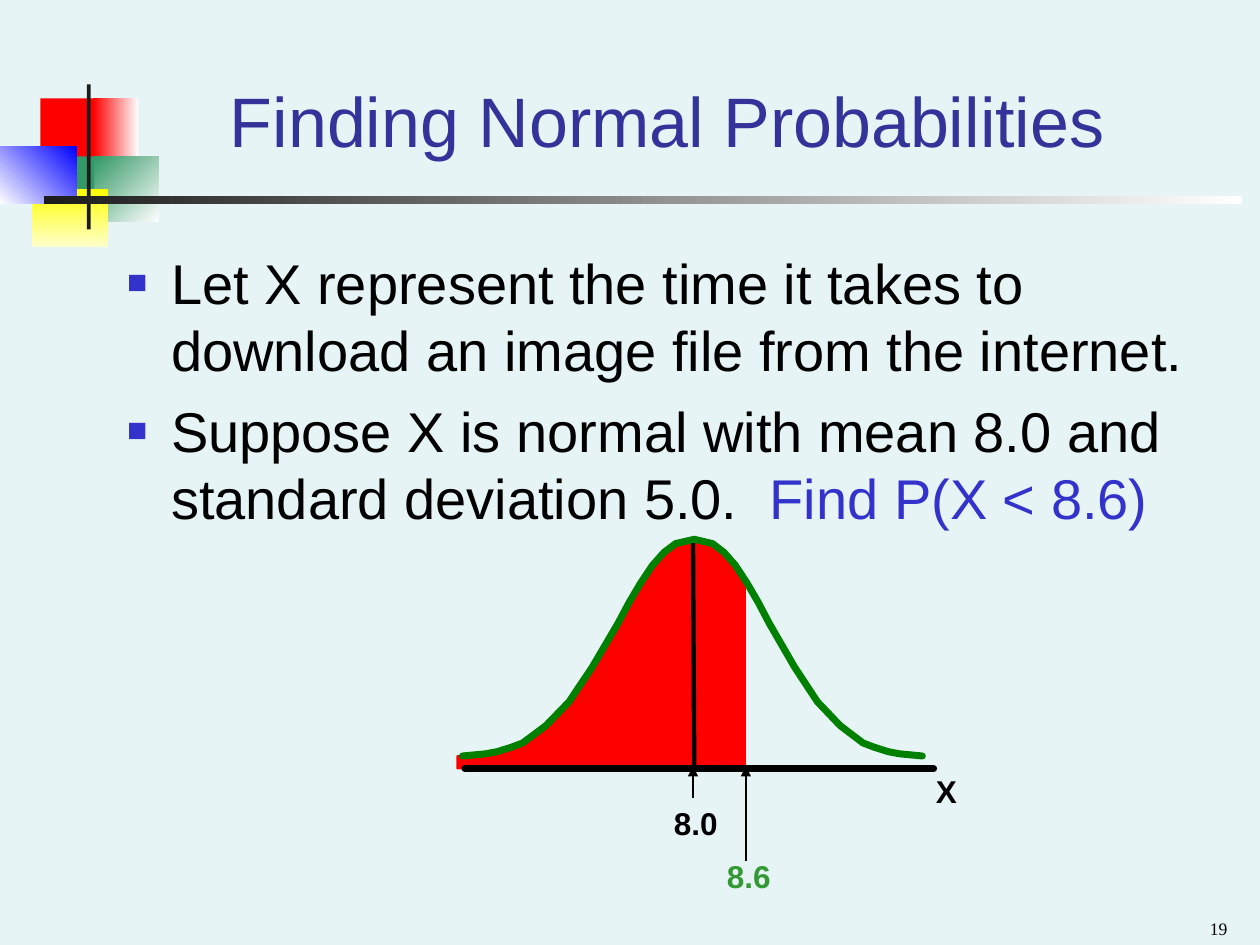
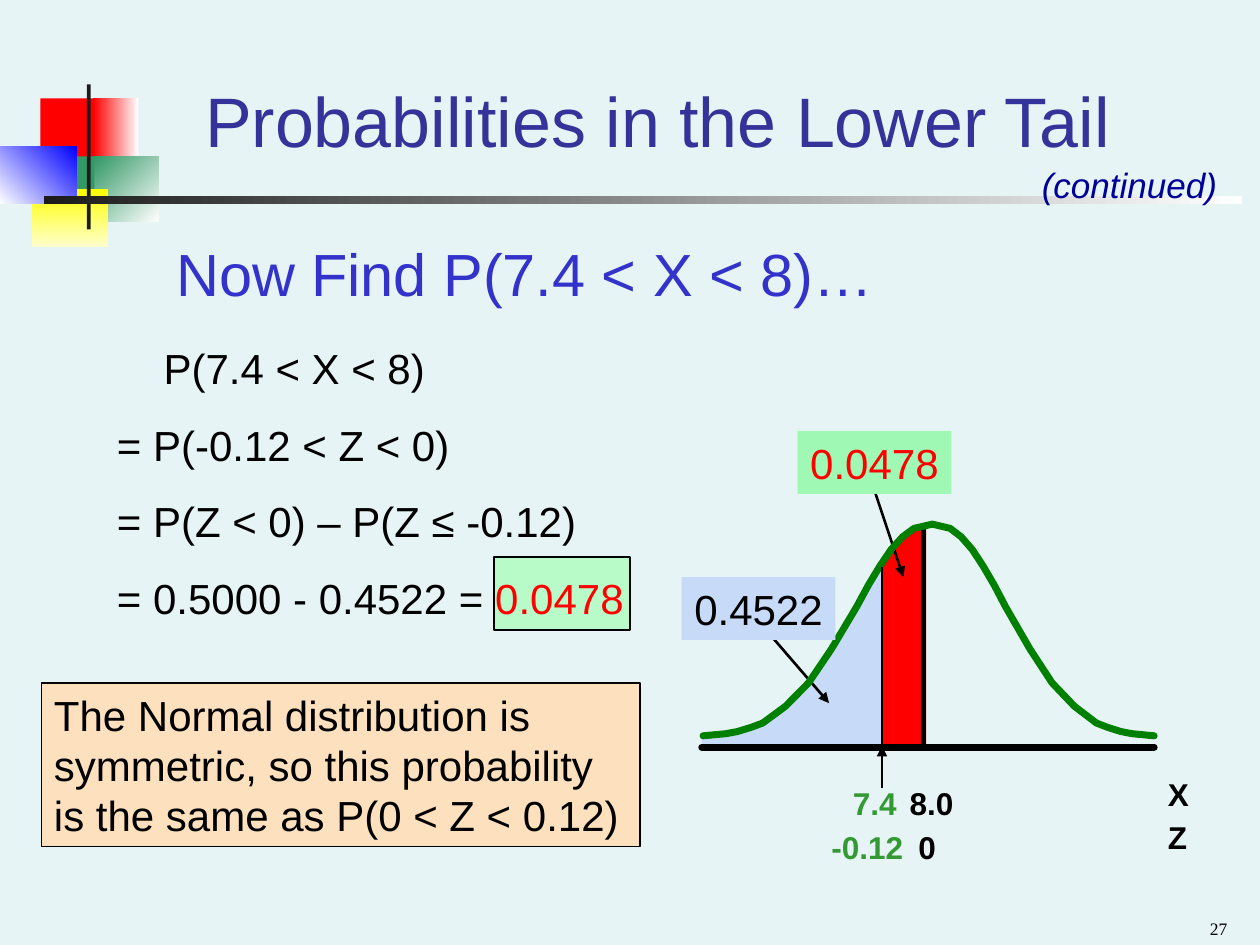
import dataclasses
import typing

import lxml.etree
import pptx
import pptx.dml.color
import pptx.enum.shapes
import pptx.enum.text
import pptx.oxml.ns
import pptx.slide
import pptx.text.text
import pptx.util

Inches = pptx.util.Inches
Align = pptx.enum.text.PP_ALIGN
Anchor = pptx.enum.text.MSO_ANCHOR
Point = tuple[float, float]


@dataclasses.dataclass(frozen=True)
class Theme:
    background: str = "E7F4F5"
    title: str = "333399"
    accent: str = "3333CC"
    continued: str = "000099"
    ink: str = "000000"
    bar: str = "1C1C1C"
    white: str = "FFFFFF"
    red: str = "FF0000"
    blue: str = "0000FF"
    green: str = "339966"
    yellow: str = "FFFF00"
    cream: str = "FFFFCC"
    curve: str = "008000"
    marker: str = "339933"
    tail: str = "C7DAF7"
    answer: str = "B8FAC8"
    callout: str = "A0F8B5"
    note: str = "FDE0BD"
    font: str = "Arial"
    number_font: str = "Times New Roman"
    title_size: int = 40
    question_size: int = 34
    body_size: int = 32
    text_size: int = 24
    continued_size: int = 20
    label_size: int = 18
    number_size: int = 10


THEME = Theme()


class Frame(typing.NamedTuple):
    left: float
    top: float
    width: float
    height: float

    def lengths(self) -> list[int]:
        return [Inches(value) for value in self]


class Span(typing.NamedTuple):
    text: str
    color: str


class Block(typing.NamedTuple):
    """A decorative rectangle; a second colour makes it a gradient."""
    frame: Frame
    start: str
    end: str | None = None
    angle: int = 0


class Label(typing.NamedTuple):
    text: str
    left: float
    top: float
    width: float
    color: str = THEME.ink


# Half of the bell: distance from the tail and height, as shares of the whole
HALF_BELL = [(0, 0), (0.1, 0.01), (0.15, 0.02), (0.21, 0.04), (0.26, 0.06),
             (0.31, 0.1), (0.36, 0.14), (0.46, 0.25), (0.56, 0.41),
             (0.67, 0.61), (0.72, 0.71), (0.77, 0.8), (0.82, 0.88),
             (0.87, 0.94), (0.92, 0.98), (1, 1)]


@dataclasses.dataclass(frozen=True)
class Bell:
    left: float
    middle: float
    right: float
    top: float
    base: float
    floor: float

    def points(self) -> list[Point]:
        def side(end: float) -> list[Point]:
            return [(end + (self.middle - end) * across,
                     self.base - (self.base - self.top) * up)
                    for across, up in HALF_BELL]
        return side(self.left) + side(self.right)[-2::-1]

    def height_at(self, x: float) -> float:
        points = self.points()
        for (x1, y1), (x2, y2) in zip(points, points[1:]):
            if x1 <= x <= x2:
                return y1 + (y2 - y1) * (x - x1) / (x2 - x1)
        return self.base

    def area(self, start: float, end: float) -> list[Point]:
        inside = [point for point in self.points() if start < point[0] < end]
        return [(start, self.floor), (start, self.height_at(start)), *inside,
                (end, self.height_at(end)), (end, self.floor)]


BLOCKS = [
    Block(Frame(0.32, 0.78, 0.48, 0.52), THEME.red),
    Block(Frame(0.74, 0.78, 0.36, 0.52), THEME.white, THEME.red, 180),
    Block(Frame(0.75, 1.24, 0.51, 0.52), THEME.white, THEME.green, 225),
    Block(Frame(0.43, 1.24, 0.32, 0.52), THEME.green),
    Block(Frame(0.25, 1.5, 0.61, 0.46), THEME.yellow, THEME.cream, 90),
    Block(Frame(0, 1.16, 0.61, 0.46), THEME.blue, THEME.white, 135),
    Block(Frame(0.69, 0.67, 0.03, 1.15), THEME.bar),
    Block(Frame(0.35, 1.56, 9.51, 0.06), THEME.white, THEME.bar, 180),
]


def rgb(color: str) -> pptx.dml.color.RGBColor:
    return pptx.dml.color.RGBColor.from_string(color)


def add_xml(parent, tag: str, **attributes: str):
    return lxml.etree.SubElement(parent, pptx.oxml.ns.qn(tag), attributes)


def paint(shape, fill: str | None = None, line: str | None = None,
          width: float = 1) -> None:
    if fill:
        shape.fill.solid()
        shape.fill.fore_color.rgb = rgb(fill)
    else:
        shape.fill.background()
    if line:
        shape.line.color.rgb = rgb(line)
        shape.line.width = pptx.util.Pt(width)
    else:
        shape.line.fill.background()


def round_ends(shape) -> None:
    line = shape.element.spPr.find(pptx.oxml.ns.qn("a:ln"))
    line.set("cap", "rnd")
    add_xml(line, "a:round")


# Text
def fill_text(frame: pptx.text.text.TextFrame,
              paragraphs: list[str | list[Span]], *, size: int,
              color: str = THEME.ink, font: str = THEME.font,
              bold: bool = False, italic: bool = False, bullet: bool = False,
              align: Align = Align.LEFT, anchor: Anchor = Anchor.TOP,
              gap: float = 0, indents: tuple[float, ...] = (),
              wrap: bool = True) -> None:
    frame.word_wrap = wrap
    frame.vertical_anchor = anchor
    frame.auto_size = pptx.enum.text.MSO_AUTO_SIZE.NONE
    for index, content in enumerate(paragraphs):
        para = frame.add_paragraph() if index else frame.paragraphs[0]
        properties = para._p.get_or_add_pPr()
        if bullet:
            properties.set("marL", str(Inches(0.35)))
            properties.set("indent", str(-Inches(0.35)))
            add_xml(add_xml(properties, "a:buClr"), "a:srgbClr", val=THEME.accent)
            add_xml(properties, "a:buSzPct", val="60000")
            add_xml(properties, "a:buFont", typeface=THEME.font)
            add_xml(properties, "a:buChar", char="■")
        elif index < len(indents):
            properties.set("marL", str(Inches(indents[index])))
        para.alignment = align
        para.space_before = pptx.util.Pt(gap if index else 0)
        spans = [Span(content, color)] if isinstance(content, str) else content
        for span in spans:
            run = para.add_run()
            run.text = span.text
            run.font.name = font
            run.font.size = pptx.util.Pt(size)
            run.font.bold = bold
            run.font.italic = italic
            run.font.color.rgb = rgb(span.color)


def add_text(page: pptx.slide.Slide, frame: Frame,
             paragraphs: list[str | list[Span]], *, fill: str | None = None,
             line: str | None = None, **text_format) -> None:
    box = page.shapes.add_textbox(*frame.lengths())
    paint(box, fill, line)
    fill_text(box.text_frame, paragraphs, **text_format)


def add_labels(page: pptx.slide.Slide, labels: list[Label]) -> None:
    for label in labels:
        add_text(page, Frame(label.left, label.top, label.width, 0.4),
                 [label.text], size=THEME.label_size, color=label.color,
                 bold=True, wrap=False)


# Shapes and lines
def add_rectangle(page: pptx.slide.Slide, frame: Frame, **paint_format):
    shape = page.shapes.add_shape(
        pptx.enum.shapes.MSO_SHAPE.RECTANGLE, *frame.lengths())
    shape.shadow.inherit = False
    paint(shape, **paint_format)
    return shape


def add_outline(page: pptx.slide.Slide, points: list[Point],
                close: bool = True, **paint_format):
    places = [(Inches(x), Inches(y)) for x, y in points]
    builder = page.shapes.build_freeform(*places[0])
    builder.add_line_segments(places[1:], close=close)
    shape = builder.convert_to_shape()
    shape.shadow.inherit = False
    paint(shape, **paint_format)
    return shape


def add_line(page: pptx.slide.Slide, start: Point, end: Point,
             width: float = 1, arrow: bool = False):
    connector = page.shapes.add_connector(
        pptx.enum.shapes.MSO_CONNECTOR.STRAIGHT,
        *(Inches(value) for value in (*start, *end)))
    connector.line.color.rgb = rgb(THEME.ink)
    connector.line.width = pptx.util.Pt(width)
    properties = connector.element.spPr
    if arrow:
        add_xml(properties.find(pptx.oxml.ns.qn("a:ln")), "a:tailEnd", type="triangle")
    add_xml(properties, "a:effectLst")
    return connector


def add_bell(page: pptx.slide.Slide, bell: Bell, axis: tuple[float, float]) -> None:
    curve = add_outline(page, bell.points(), close=False,
                        line=THEME.curve, width=4)
    floor = add_line(page, (axis[0], bell.floor), (axis[1], bell.floor), width=4)
    round_ends(curve)
    round_ends(floor)


# Shared parts
def decorate_layout(page: pptx.slide.Slide) -> None:
    """Draw the blocks and hand them to the layout all slides use."""
    for block in BLOCKS:
        shape = add_rectangle(page, block.frame, fill=block.start)
        if block.end:
            shape.fill.gradient()
            shape.fill.gradient_angle = 360 - block.angle
            for stop, color in zip(shape.fill.gradient_stops,
                                   (block.start, block.end)):
                stop.color.rgb = rgb(color)
        page.slide_layout.shapes.element.append(shape.element)


def add_page(deck, title: str, number: int) -> pptx.slide.Slide:
    page = deck.slides.add_slide(deck.slide_layouts[5])
    heading = page.shapes.title
    heading.left, heading.top, heading.width, heading.height = (
        Frame(1.26, 0.25, 8.07, 1.08).lengths())
    fill_text(heading.text_frame, [title], size=THEME.title_size,
              color=THEME.title, align=Align.CENTER, anchor=Anchor.BOTTOM)
    add_text(page, Frame(7.5, 7.15, 2.34, 0.35), [str(number)],
             size=THEME.number_size, font=THEME.number_font,
             align=Align.RIGHT, anchor=Anchor.BOTTOM)
    return page


# Slides
def build_normal(deck) -> None:
    page = add_page(deck, "Finding Normal Probabilities", 19)
    decorate_layout(page)
    bell = Bell(3.67, 5.51, 7.32, 4.28, 6, 6.1)
    add_outline(page, bell.area(5.5, 5.92), fill=THEME.red)
    add_text(page, Frame(0.91, 1.92, 8.85, 4.96), [
        "Let X represent the time it takes to download an image file from the internet.",
        [Span("Suppose X is normal with mean 8.0 and standard deviation 5.0.  ", THEME.ink),
         Span("Find P(X < 8.6)", THEME.accent)],
    ], size=THEME.body_size, bullet=True, gap=8)
    add_outline(page, bell.area(3.63, 5.5), fill=THEME.red, line=THEME.red)
    add_line(page, (5.5, 4.3), (5.51, 6.08), width=2.5)
    add_bell(page, bell, (3.69, 7.41))
    add_labels(page, [Label("X", 7.33, 6.08, 0.42),
                      Label("8.6", 5.67, 6.75, 0.55, THEME.marker),
                      Label("8.0", 5.25, 6.33, 0.55)])
    for x, start in ((5.5, 6.33), (5.92, 6.83)):
        add_line(page, (x, start), (x, 6.08), arrow=True)


def build_lower_tail(deck) -> None:
    page = add_page(deck, "Probabilities in the Lower Tail ", 27)
    bell = Bell(5.58, 7.4, 9.16, 4.16, 5.84, 5.93)
    add_outline(page, bell.area(5.57, 7.03), fill=THEME.tail)
    add_line(page, (6.08, 5), (6.58, 5.58), width=1.5, arrow=True)
    add_outline(page, bell.area(7, 7.35), fill=THEME.red)
    add_line(page, (6.92, 3.83), (7.17, 4.58), width=1.5, arrow=True)
    add_rectangle(page, Frame(3.92, 4.42, 1.08, 0.58), fill=THEME.answer,
                  line=THEME.ink, width=1.5)
    add_line(page, (7.33, 4.17), (7.33, 5.92), width=2.5)
    add_bell(page, bell, (5.57, 9.16))
    add_line(page, (7, 6.25), (7, 5.92), arrow=True)
    add_line(page, (7, 4.5), (7, 5.92))

    # Question and working
    add_text(page, Frame(0.91, 1.83, 8.85, 0.7), ["Now Find P(7.4 < X < 8)…"],
             size=THEME.question_size, color=THEME.accent, indents=(0.39,))
    add_text(page, Frame(0.83, 2.67, 4.33, 2.33), [
        "P(7.4 < X < 8)",
        "= P(-0.12 < Z < 0)",
        "= P(Z < 0) – P(Z ≤ -0.12)",
        [Span("= 0.5000 - 0.4522 = ", THEME.ink), Span("0.0478", THEME.red)],
    ], size=THEME.text_size, gap=15, indents=(0.37,))
    add_text(page, Frame(8.17, 1.25, 1.67, 0.44), ["(continued)"],
             size=THEME.continued_size, color=THEME.continued, italic=True)

    # Callouts, axis values and note
    for text, left, top, fill, color in (
            ("0.0478", 6.33, 3.42, THEME.callout, THEME.red),
            ("0.4522", 5.41, 4.58, THEME.tail, THEME.ink)):
        add_text(page, Frame(left, top, 1.22, 0.5), [text], fill=fill, color=color,
                 size=THEME.text_size, align=Align.CENTER, wrap=False)
    add_labels(page, [Label("X", 9.17, 6.1, 0.42),
                      Label("Z", 9.17, 6.44, 0.42),
                      Label("7.4", 6.67, 6.17, 0.55, THEME.marker),
                      Label("8.0", 7.12, 6.17, 0.55),
                      Label("-0.12", 6.5, 6.52, 0.77, THEME.marker),
                      Label("0", 7.19, 6.52, 0.34)])
    add_text(page, Frame(0.33, 5.42, 4.75, 1.3), [
        "The Normal distribution is symmetric, so this probability "
        "is the same as P(0 < Z < 0.12)",
    ], fill=THEME.note, line=THEME.ink, size=THEME.text_size)


def main() -> None:
    deck = pptx.Presentation()
    deck.slide_width, deck.slide_height = Inches(10), Inches(7.5)
    background = deck.slide_master.background.fill
    background.solid()
    background.fore_color.rgb = rgb(THEME.background)
    build_normal(deck)
    build_lower_tail(deck)
    deck.save("out.pptx")


if __name__ == "__main__":
    main()
